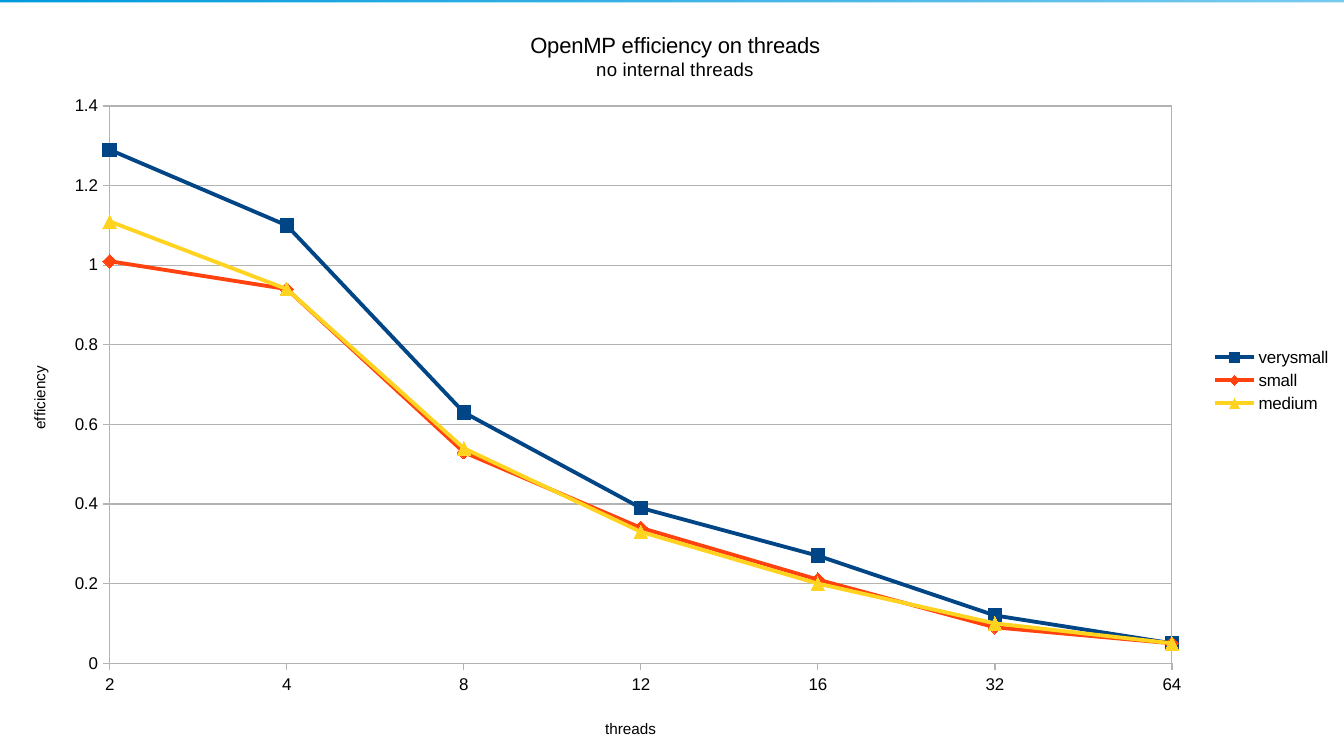
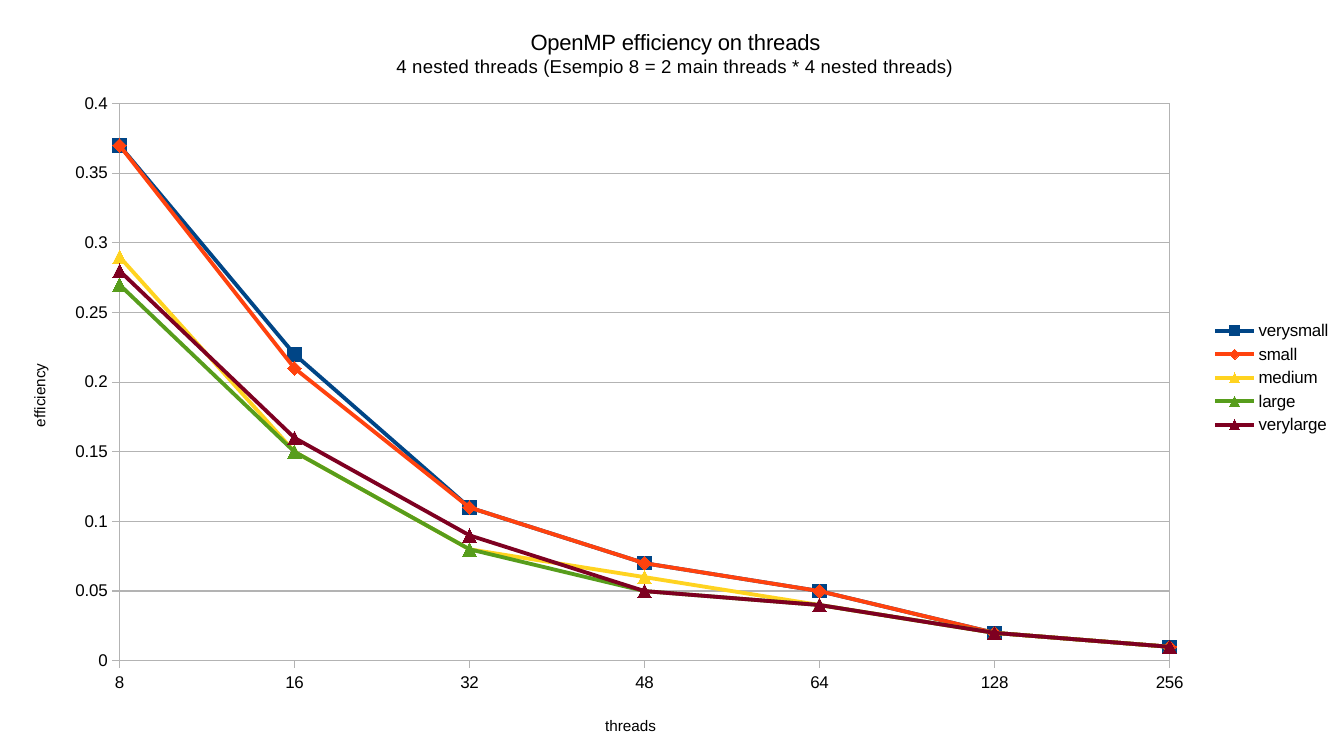
from dataclasses import dataclass

from lxml import etree
from pptx import Presentation
from pptx.chart.data import CategoryChartData
from pptx.dml.color import RGBColor
from pptx.enum.chart import XL_CHART_TYPE as ChartType
from pptx.enum.chart import XL_LEGEND_POSITION as LegendPos
from pptx.enum.chart import XL_MARKER_STYLE as Marker
from pptx.enum.chart import XL_TICK_MARK as Tick
from pptx.enum.shapes import MSO_SHAPE as Shape
from pptx.oxml import parse_xml
from pptx.oxml.ns import nsdecls, qn
from pptx.util import Inches, Pt


@dataclass(frozen=True)
class Theme:
    width: float = 11.02
    height: float = 6.2
    font: str = "Arial"
    text: str = "000000"
    grid: str = "B3B3B3"
    paper: str = "FFFFFF"
    band_dark: str = "009BDD"
    band_light: str = "77CAEE"
    title_size: float = 13
    subtitle_size: float = 11
    label_size: float = 10
    axis_title_size: float = 9
    line_width: float = 2.27
    marker_size: int = 8


THEME = Theme()

SERIES_STYLES = {
    "verysmall": ("004586", Marker.SQUARE),
    "small": ("FF420E", Marker.DIAMOND),
    "medium": ("FFD320", Marker.TRIANGLE),
    "large": ("579D1C", Marker.TRIANGLE),
    "verylarge": ("7E0021", Marker.TRIANGLE),
}


@dataclass(frozen=True)
class EfficiencyChart:
    subtitle: str
    threads: tuple
    series: dict
    maximum: float
    step: float
    top: float
    title_left: float
    plot_left: float
    plot_width: float


CHARTS = (
    EfficiencyChart(
        subtitle="no internal threads",
        threads=("2", "4", "8", "12", "16", "32", "64"),
        series={
            "verysmall": (1.29, 1.1, 0.63, 0.39, 0.27, 0.12, 0.05),
            "small": (1.01, 0.94, 0.53, 0.34, 0.21, 0.09, 0.05),
            "medium": (1.11, 0.94, 0.54, 0.33, 0.2, 0.1, 0.05),
        },
        maximum=1.4, step=0.2, top=0.02,
        title_left=4.32, plot_left=0.9, plot_width=8.71,
    ),
    EfficiencyChart(
        subtitle="4 nested threads (Esempio 8 = 2 main threads * 4 nested threads)",
        threads=("8", "16", "32", "48", "64", "128", "256"),
        series={
            "verysmall": (0.37, 0.22, 0.11, 0.07, 0.05, 0.02, 0.01),
            "small": (0.37, 0.21, 0.11, 0.07, 0.05, 0.02, 0.01),
            "medium": (0.29, 0.15, 0.08, 0.06, 0.04, 0.02, 0.01),
            "large": (0.27, 0.15, 0.08, 0.05, 0.04, 0.02, 0.01),
            "verylarge": (0.28, 0.16, 0.09, 0.05, 0.04, 0.02, 0.01),
        },
        maximum=0.4, step=0.05, top=0,
        title_left=3.22, plot_left=0.98, plot_width=8.61,
    ),
)


def rgb(color):
    return RGBColor.from_string(color)


def style_font(font, size):
    font.name = THEME.font
    font.size = Pt(size)
    font.bold = False
    font.color.rgb = rgb(THEME.text)


def style_line(line, color, width=0):
    line.color.rgb = rgb(color)
    line.width = Pt(width)


def add_run(p, text, size):
    r = p.add_run()
    r.text = text
    style_font(r.font, size)


def add_master_bands(prs, slide):
    tree = prs.slide_master.shapes.element
    for index, (top, height) in enumerate(((0, 0.79), (5.51, 0.69))):
        sp = slide.shapes.add_shape(
            Shape.RECTANGLE, 0, Inches(top), Inches(THEME.width), Inches(height))
        sp.shadow.inherit = False
        sp.line.fill.background()
        sp.fill.gradient()
        sp.fill.gradient_angle = 0
        for stop, color in zip(sp.fill.gradient_stops, (THEME.band_dark, THEME.band_light)):
            stop.color.rgb = rgb(color)
        tree.insert(2 + index, sp.element)


def remove_child(parent, tag):
    for child in parent.findall(qn(tag)):
        parent.remove(child)


def set_layout(parent, anchor, left, top, width=None, height=None, inner=False):
    remove_child(parent, "c:layout")
    layout = parse_xml(f"<c:layout {nsdecls('c')}><c:manualLayout/></c:layout>")
    values = []
    if inner:
        values.append(("layoutTarget", "inner"))
    values += [("xMode", "edge"), ("yMode", "edge"),
               ("x", left / THEME.width), ("y", top / THEME.height)]
    if width is not None:
        values += [("w", width / THEME.width), ("h", height / THEME.height)]
    for tag, value in values:
        etree.SubElement(layout[0], qn(f"c:{tag}")).set("val", str(value))
    if anchor is None:
        parent.insert(0, layout)
    else:
        parent.find(qn(anchor)).addnext(layout)


def style_axis(axis, title):
    axis.major_tick_mark = Tick.OUTSIDE
    axis.minor_tick_mark = Tick.NONE
    style_line(axis.format.line, THEME.grid)
    style_font(axis.tick_labels.font, THEME.label_size)
    axis.tick_labels.number_format = "General"
    axis.tick_labels.number_format_is_linked = False
    add_run(axis.axis_title.text_frame.paragraphs[0], title, THEME.axis_title_size)


def style_axes(chart, info):
    style_axis(chart.category_axis, "threads")
    chart.category_axis.has_major_gridlines = False
    axis = chart.value_axis
    style_axis(axis, "efficiency")
    axis.minimum_scale = 0
    axis.maximum_scale = info.maximum
    axis.major_unit = info.step
    axis.has_major_gridlines = True
    style_line(axis.major_gridlines.format.line, THEME.grid)


def style_series(chart):
    for series in chart.plots[0].series:
        color, marker = SERIES_STYLES[series.name]
        series.smooth = False
        style_line(series.format.line, color, THEME.line_width)
        series.marker.style = marker
        series.marker.size = THEME.marker_size
        series.marker.format.fill.solid()
        series.marker.format.fill.fore_color.rgb = rgb(color)
        style_line(series.marker.format.line, color)


def add_title(chart, subtitle):
    chart.has_title = True
    tf = chart.chart_title.text_frame
    add_run(tf.paragraphs[0], "OpenMP efficiency on threads", THEME.title_size)
    add_run(tf.add_paragraph(), subtitle, THEME.subtitle_size)


def add_legend(chart):
    chart.has_legend = True
    chart.legend.position = LegendPos.RIGHT
    chart.legend.include_in_layout = False
    style_font(chart.legend.font, THEME.label_size)


def start_lines_on_axis(value_axis):
    remove_child(value_axis, "c:crossBetween")
    value_axis.find(qn("c:crosses")).addnext(
        parse_xml(f'<c:crossBetween {nsdecls("c")} val="midCat"/>'))


def turn_title(title):
    for body in title.iter(qn("a:bodyPr")):
        body.set("rot", "-5400000")
        body.set("vert", "horz")


def add_backgrounds(root, plot_area):
    root.addnext(parse_xml(
        f'<c:spPr {nsdecls("c", "a")}><a:solidFill><a:srgbClr val="{THEME.paper}"/>'
        '</a:solidFill><a:ln><a:noFill/></a:ln></c:spPr>'))
    plot_area.append(parse_xml(
        f'<c:spPr {nsdecls("c", "a")}><a:noFill/><a:ln w="0"><a:solidFill>'
        f'<a:srgbClr val="{THEME.grid}"/></a:solidFill></a:ln></c:spPr>'))


def arrange(chart, info):
    root = chart.element.find(qn("c:chart"))
    plot_area = root.find(qn("c:plotArea"))
    value_axis = plot_area.find(qn("c:valAx"))
    value_title = value_axis.find(qn("c:title"))
    category_title = plot_area.find(qn("c:catAx")).find(qn("c:title"))
    legend_height = 0.2 * len(info.series)
    start_lines_on_axis(value_axis)
    turn_title(value_title)
    set_layout(plot_area, None, info.plot_left, 0.85, info.plot_width, 4.57, inner=True)
    set_layout(root.find(qn("c:title")), "c:tx", info.title_left, 0.21)
    set_layout(category_title, "c:tx", 4.94, 5.85)
    set_layout(value_title, "c:tx", 0.22, 2.96)
    set_layout(root.find(qn("c:legend")), "c:legendPos", 9.92,
               (THEME.height - legend_height) / 2, 1.02, legend_height)
    add_backgrounds(root, plot_area)


def add_efficiency_chart(slide, info):
    data = CategoryChartData()
    data.categories = info.threads
    for name, values in info.series.items():
        data.add_series(name, values)
    chart = slide.shapes.add_chart(
        ChartType.LINE_MARKERS, 0, Inches(info.top),
        Inches(THEME.width), Inches(THEME.height), data).chart
    style_font(chart.font, THEME.label_size)
    chart.plots[0].vary_by_categories = False
    add_title(chart, info.subtitle)
    add_legend(chart)
    style_axes(chart, info)
    style_series(chart)
    arrange(chart, info)


def main():
    prs = Presentation()
    prs.slide_width = Inches(THEME.width)
    prs.slide_height = Inches(THEME.height)
    blank = prs.slide_layouts[6]
    slides = [prs.slides.add_slide(blank) for _ in CHARTS]
    add_master_bands(prs, slides[0])
    for slide, info in zip(slides, CHARTS):
        add_efficiency_chart(slide, info)
    prs.save("out.pptx")


if __name__ == "__main__":
    main()
